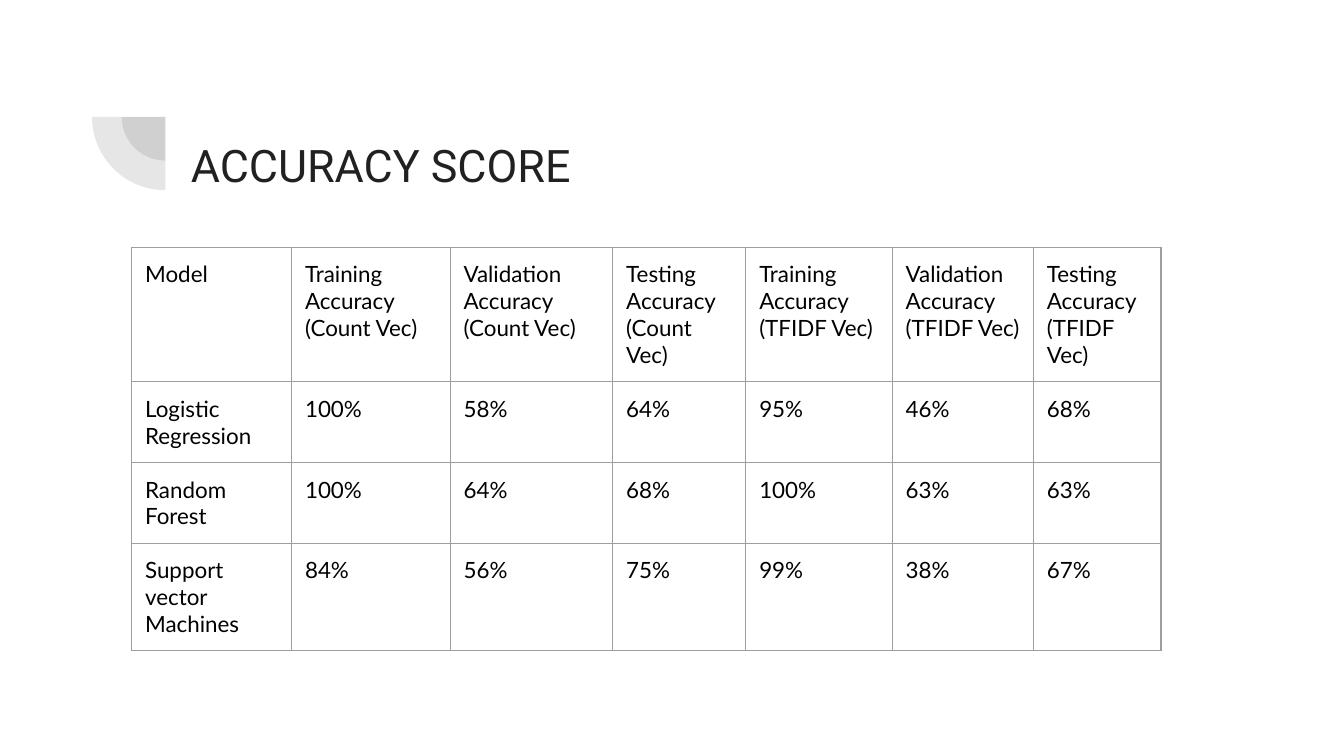
from lxml import etree
from pptx import Presentation
from pptx.dml.color import RGBColor
from pptx.enum.shapes import MSO_SHAPE
from pptx.enum.text import MSO_ANCHOR, MSO_AUTO_SIZE, PP_ALIGN
from pptx.oxml import parse_xml
from pptx.oxml.ns import nsdecls, qn
from pptx.util import Inches, Pt

# Content
TITLE = "ACCURACY SCORE"
COUNT, TFIDF = "(Count Vec)", "(TFIDF Vec)"
HEADER = [
    ["Model"],
    ["Training Accuracy", COUNT],
    ["Validation", "Accuracy", COUNT],
    ["Testing", "Accuracy", COUNT],
    ["Training Accuracy", TFIDF],
    ["Validation", "Accuracy", TFIDF],
    ["Testing Accuracy", TFIDF],
]
SCORES = {
    "Logistic Regression": (100, 58, 64, 95, 46, 68),
    "Random Forest": (100, 64, 68, 100, 63, 63),
    "Support vector Machines": (84, 56, 75, 99, 38, 67),
}

# Style and layout, in inches
COLORS = {"title": "212121", "text": "000000", "border": "9E9E9E", "pie": "424242"}
PIE_CENTER = (1.23, 0.87)
PIE_SIZES = (0.65, 1.09)
TABLE_LEFT, TABLE_TOP = 0.98, 1.84
COL_WIDTHS = (1.19, 1.18, 1.21, 0.99, 1.09, 1.05, 0.95)
ROW_HEIGHTS = (0.91, 0.55, 0.55, 0.73)
INSET = Inches(0.1)


def rgb(name):
    return RGBColor.from_string(COLORS[name])


def set_margins(box):
    box.margin_left = box.margin_right = box.margin_top = box.margin_bottom = INSET


def add_run(p, text, font, size, color):
    r = p.add_run()
    r.text = text
    r.font.name, r.font.size = font, Pt(size)
    r.font.color.rgb = rgb(color)


def add_quarter(slide, size):
    x, y = (c - size / 2 for c in PIE_CENTER)
    sp = slide.shapes.add_shape(
        MSO_SHAPE.PIE, Inches(x), Inches(y), Inches(size), Inches(size))
    sp.adjustments[0], sp.adjustments[1] = 108, 162  # 180 to 270 degrees
    sp.rotation = 270
    sp.shadow.inherit = False
    sp.line.fill.background()
    sp.fill.solid()
    sp.fill.fore_color.rgb = rgb("pie")
    color = sp.fill._xPr.find(qn("a:solidFill"))[0]
    etree.SubElement(color, qn("a:alpha"), val="13000")


def add_borders(cell):
    tc_pr = cell._tc.get_or_add_tcPr()
    for i, side in enumerate(("lnL", "lnR", "lnT", "lnB")):
        tc_pr.insert(i, parse_xml(
            f'<a:{side} {nsdecls("a")} w="{Pt(0.75)}"><a:solidFill>'
            f'<a:srgbClr val="{COLORS["border"]}"/></a:solidFill></a:{side}>'))


def fill_cell(cell, lines):
    set_margins(cell)
    cell.fill.background()
    add_borders(cell)
    tf = cell.text_frame
    for i, line in enumerate(lines):
        p = tf.add_paragraph() if i else tf.paragraphs[0]
        add_run(p, line, "Lato", 12, "text")


# A 16:9 slide
prs = Presentation()
prs.slide_width = Inches(10)
prs.slide_height = prs.slide_width * 9 // 16
slide = prs.slides.add_slide(prs.slide_layouts[5])

# Corner ornament
for size in PIE_SIZES:
    add_quarter(slide, size)

# Title
title = slide.shapes.title
title.left, title.top = Inches(1.32), Inches(0.87)
title.width, title.height = Inches(7.93), Inches(0.57)
tf = title.text_frame
set_margins(tf)
tf.margin_top = Inches(0.18)
tf.word_wrap = True
tf.auto_size = MSO_AUTO_SIZE.NONE
tf.vertical_anchor = MSO_ANCHOR.MIDDLE
p = tf.paragraphs[0]
p.alignment = PP_ALIGN.LEFT
p.line_spacing, p.space_before, p.space_after = 1.15, Pt(12), Pt(10)
add_run(p, TITLE, "Roboto", 24, "title")

# Score table
rows = [HEADER] + [
    [[model]] + [[f"{score}%"] for score in scores]
    for model, scores in SCORES.items()]
table = slide.shapes.add_table(
    len(rows), len(HEADER), Inches(TABLE_LEFT), Inches(TABLE_TOP),
    Inches(sum(COL_WIDTHS)), Inches(sum(ROW_HEIGHTS))).table
table.first_row = table.horz_banding = False
for col, width in zip(table.columns, COL_WIDTHS):
    col.width = Inches(width)
for row, height, texts in zip(table.rows, ROW_HEIGHTS, rows):
    row.height = Inches(height)
    for cell, lines in zip(row.cells, texts):
        fill_cell(cell, lines)

prs.save("out.pptx")
